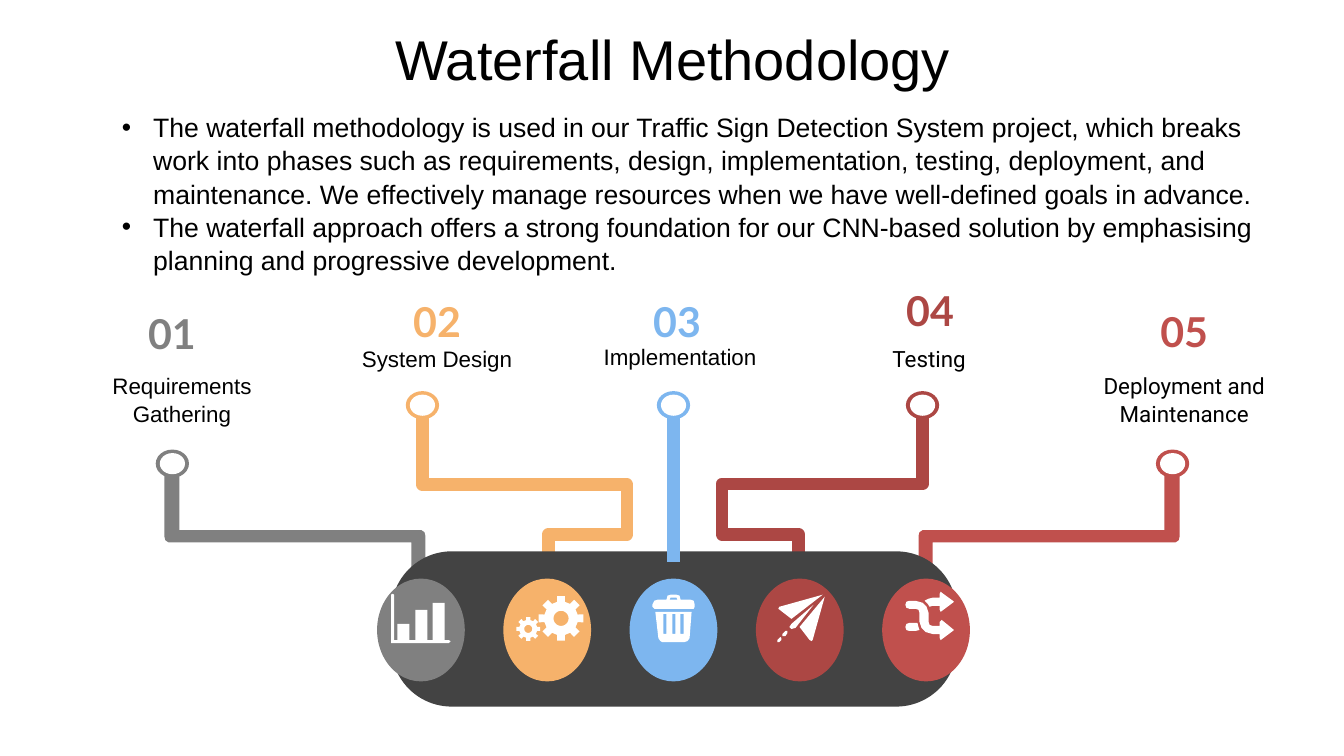
"""Build the Waterfall Methodology slide: two bullets above a five-phase pipe diagram."""
import math

from lxml import etree
from pptx import Presentation
from pptx import util as u
from pptx.dml.color import RGBColor
from pptx.enum import shapes, text
from pptx.oxml.ns import qn

PX = 9144
SLIDE = (1333, 750)
BLACK, WHITE, CHARCOAL = "000000", "FFFFFF", "434343"

TITLE = "Waterfall Methodology"
BULLETS = [
    "The waterfall methodology is used in our Traffic Sign Detection System project, which breaks "
    "work into phases such as requirements, design, implementation, testing, deployment, and "
    "maintenance. We effectively manage resources when we have well-defined goals in advance.",
    "The waterfall approach offers a strong foundation for our CNN-based solution by emphasising "
    "planning and progressive development.",
]
PHASES = [
    {"number": "01", "label": ["Requirements Gathering"], "font": "Arial", "color": "808080",
     "number_at": (123, 307), "label_at": (80, 355), "ring": (171, 460)},
    {"number": "02", "label": ["System Design"], "font": "Arial", "color": "F6B26B",
     "number_at": (386, 295), "label_at": (333, 328), "ring": (419, 402)},
    {"number": "03", "label": ["Implementation"], "font": "Arial", "color": "7DB6EF",
     "number_at": (624, 295), "label_at": (574, 326), "ring": (668, 402)},
    {"number": "04", "label": ["Testing"], "font": "Roboto", "color": "AC4744",
     "number_at": (875, 284), "label_at": (821, 328), "ring": (915, 402)},
    {"number": "05", "label": ["Deployment and", "Maintenance"], "font": "Roboto",
     "color": "C0504D", "number_at": (1127, 305), "label_at": (1074, 355), "ring": (1163, 460)},
]

OUTER_PIPE = [(163, 460), (163, 532), (164, 536), (167, 538), (408, 538), (408, 581), (422, 581),
              (422, 532), (421, 528), (418, 526), (178, 526), (178, 460)]
DESIGN_PIPE = [(419, 413), (419, 481), (622, 481), (622, 530), (544, 530), (544, 567)]
TESTING_PIPE = [(915, 412), (915, 480), (716, 480), (716, 530), (792, 530), (792, 567)]
MIDDLE_PIPE = [(668, 410), (668, 558)]

BAR = (388, 547, 561, 154)
DISC_LEFT, DISC_STEP, DISC_TOP, DISC_SIZE = 374, 125.25, 574, (87, 102)
CHART_BARS = [(394, 619, 12, 18), (412, 605, 12, 32), (429, 598, 12, 39)]
GEARS = [(556.5, 613.5, 22.5), (524, 624, 12)]
BIN_SLOTS = [[(x, 609), (x, 629), (x + 3, 629), (x + 3, 609)] for x in (658, 667, 675)]
ICONS = [
    [[(388, 590), (389, 589), (391, 590), (391, 635), (445, 635), (447, 636), (445, 638),
      (388, 638)]],
    [[(650, 607), (653, 633), (655, 636), (657, 637), (679, 637), (682, 636), (684, 633),
      (686, 607)], *BIN_SLOTS],
    [[(665, 590), (662, 591), (661, 595), (652, 595), (649, 596), (647, 600), (647, 602),
      (649, 604), (688, 604), (689, 602), (689, 600), (688, 596), (685, 595), (675, 595),
      (674, 591), (671, 590)], [(665, 593), (664, 595), (672, 595), (671, 593)]],
    [[(774, 632), (771, 635), (771, 637), (773, 637), (775, 635), (775, 633)]],
    [[(779, 626), (776, 629), (776, 631), (779, 631), (781, 628), (781, 626)]],
    [[(816, 590), (773, 602), (772, 604), (785, 614)]],
    [[(818, 592), (793, 622), (803, 635), (805, 636), (806, 635)]],
    [[(807, 600), (785, 619), (783, 622), (785, 624), (789, 623)]],
    [[(902, 596), (899, 597), (898, 600), (899, 603), (902, 604), (908, 604), (911, 605),
      (912, 608), (912, 617), (914, 623), (918, 627), (925, 629), (932, 629), (932, 633),
      (933, 635), (945, 626), (946, 625), (945, 624), (934, 615), (932, 617), (932, 621),
      (925, 621), (922, 620), (921, 617), (921, 608), (919, 602), (915, 598), (908, 596)]],
    [[(910, 618), (902, 618), (899, 619), (898, 622), (899, 625), (902, 626), (908, 626),
      (912, 625), (911, 622)]],
    [[(933, 587), (932, 589), (932, 593), (925, 593), (921, 594), (917, 596), (920, 599),
      (922, 602), (925, 601), (932, 601), (932, 605), (933, 607), (945, 598), (946, 597),
      (945, 596), (934, 588)]],
]

INSETS = ("margin_left", "margin_top", "margin_right", "margin_bottom")
LINE_SPACING = 1.04


def emu(values):
    return [round(v * PX) for v in values]


def rgb(color):
    return RGBColor.from_string(color)


def apply(target, values):
    for name, value in values.items():
        setattr(target, name, value)


def paint(shape, color):
    shape.shadow.inherit = False
    shape.fill.solid()
    shape.fill.fore_color.rgb = rgb(color)
    shape.line.fill.background()
    return shape


def draw(preset, box, color):
    return paint(slide.shapes.add_shape(preset, *emu(box)), color)


def outline(contours, close=True):
    first, *rest = [[emu(point) for point in contour] for contour in contours]
    builder = slide.shapes.build_freeform(*first[0])
    builder.add_line_segments(first[1:], close=close)
    for contour in rest:
        builder.move_to(*contour[0])
        builder.add_line_segments(contour[1:], close=close)
    return builder.convert_to_shape()


def stroke(line, color):
    line.color.rgb = rgb(color)
    line.width = u.Pt(9)


def bent_pipe(points, color):
    pipe = outline([points], close=False)
    pipe.shadow.inherit = False
    pipe.fill.background()
    stroke(pipe.line, color)


def ring(center, color):
    for (width, height), fill in (((33, 28), color), ((25, 21), WHITE)):
        box = (center[0] - width / 2, center[1] - height / 2, width, height)
        draw(shapes.MSO_SHAPE.OVAL, box, fill)


def gear(x, y, radius):
    def at(distance, degrees):
        turn = math.radians(degrees)
        return x + distance * math.cos(turn), y + distance * math.sin(turn)

    tooth = ((0.75, -13), (1, -10), (1, 10), (0.75, 13))
    rim = [at(radius * r, 45 * k + a) for k in range(8) for r, a in tooth]
    hole = [at(radius / 3, -15 * k) for k in range(24)]
    paint(outline([rim, hole]), WHITE)


def write(frame, lines, font, insets, align, anchor=text.MSO_ANCHOR.TOP, spacing=1.0):
    apply(frame, {"word_wrap": True, "auto_size": text.MSO_AUTO_SIZE.NONE,
                  "vertical_anchor": anchor, **dict(zip(INSETS, emu(insets)))})
    for i, line in enumerate(lines):
        paragraph = frame.paragraphs[0] if i == 0 else frame.add_paragraph()
        apply(paragraph, {"text": line, "alignment": align, "line_spacing": spacing,
                          "space_before": u.Pt(0)})
        name, size, color, bold = font
        apply(paragraph.font, {"name": name, "size": u.Pt(size), "bold": bold})
        paragraph.font.color.rgb = rgb(color)


def place(shape, box):
    apply(shape, dict(zip(("left", "top", "width", "height"), emu(box))))


deck = Presentation()
deck.slide_width, deck.slide_height = emu(SLIDE)
slide = deck.slides.add_slide(deck.slide_layouts[1])
CENTER = text.PP_ALIGN.CENTER
WIDE = (13, 13, 13, 13)

title, bullets = slide.placeholders
place(title, (67, 11, 1200, 58))
write(title.text_frame, [TITLE], ("Arial", 40, BLACK, False), WIDE, CENTER)
place(bullets, (111, 104, 1164, 170))
write(bullets.text_frame, BULLETS, ("Arial", 19, BLACK, False), (10, 5, 10, 5),
      text.PP_ALIGN.LEFT, spacing=LINE_SPACING)
for bullet in bullets.text_frame.paragraphs:
    apply_indent = bullet._p.get_or_add_pPr().set
    apply_indent("marL", str(31 * PX))
    apply_indent("indent", str(-31 * PX))

requirements, design, implementation, testing, deployment = PHASES
paint(outline([OUTER_PIPE]), requirements["color"])
paint(outline([[(SLIDE[0] - x, y) for x, y in OUTER_PIPE]]), deployment["color"])
bent_pipe(DESIGN_PIPE, design["color"])
bent_pipe(TESTING_PIPE, testing["color"])

bar = draw(shapes.MSO_SHAPE.ROUNDED_RECTANGLE, BAR, CHARCOAL)
bar.adjustments[0] = 0.39
start, end = MIDDLE_PIPE
middle = slide.shapes.add_connector(shapes.MSO_CONNECTOR.STRAIGHT, *emu(start + end))
stroke(middle.line, implementation["color"])
etree.SubElement(middle._element.spPr, qn("a:effectLst"))

for i, phase in enumerate(PHASES):
    color = phase["color"]
    ring(phase["ring"], color)
    draw(shapes.MSO_SHAPE.OVAL, (DISC_LEFT + i * DISC_STEP, DISC_TOP, *DISC_SIZE), color)
    number = slide.shapes.add_textbox(*emu((*phase["number_at"], 95, 47)))
    write(number.text_frame, [phase["number"]], ("Lato", 29.4, color, True), WIDE, CENTER,
          text.MSO_ANCHOR.MIDDLE)
    label = slide.shapes.add_textbox(*emu((*phase["label_at"], 201, 77)))
    write(label.text_frame, phase["label"], (phase["font"], 16, BLACK, False), WIDE, CENTER,
          spacing=LINE_SPACING)

for chart_bar in CHART_BARS:
    draw(shapes.MSO_SHAPE.RECTANGLE, chart_bar, WHITE)
for cog in GEARS:
    gear(*cog)
for contours in ICONS:
    paint(outline(contours), WHITE)

deck.save("out.pptx")
